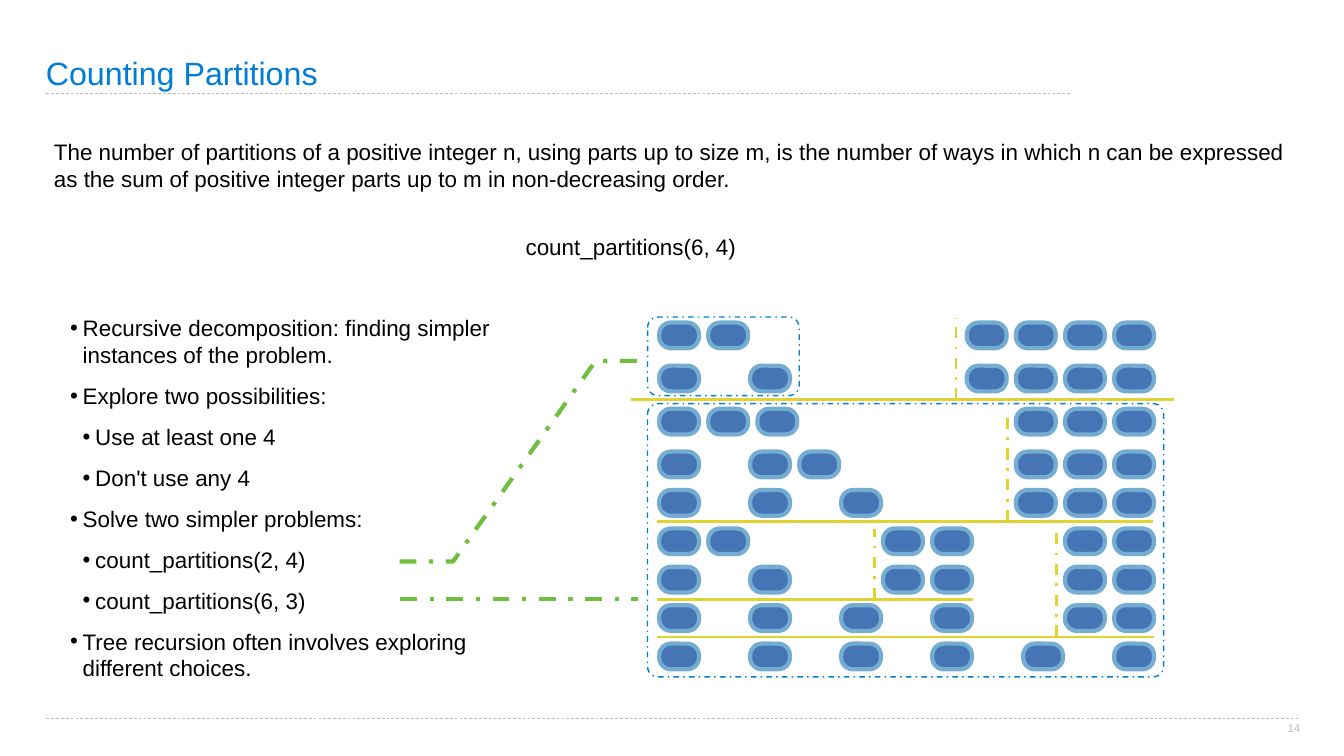
from lxml.etree import SubElement
from pptx import Presentation
from pptx.dml.color import RGBColor
from pptx.enum.dml import MSO_LINE
from pptx.enum.shapes import MSO_CONNECTOR, MSO_SHAPE
from pptx.enum.text import MSO_ANCHOR, PP_ALIGN
from pptx.oxml.ns import qn
from pptx.util import Inches, Pt

COLORS = {
    "title": "007DD6",
    "text": "000000",
    "muted": "B8B8B8",
    "pill": "4575B4",
    "pill_edge": "74ADD1",
    "divider": "E1D331",
    "frame": "007ECF",
    "link": "6FBE40",
}

FIRST_X, LAST_X, PILL_STEP = 13.08, 22.11, 0.975
UNITS = 6
COLUMN = (LAST_X - FIRST_X) / (UNITS - 1)
PILL_W, PILL_H = 0.79, 0.51
ROW_TOPS = [6.4 + 0.855 * i for i in range(3)] + [8.96 + 0.762 * i for i in range(6)]

# Each row: parts packed from the left, then parts aligned to their right end.
PARTITIONS = [
    ([2], [4]),
    ([1, 1], [4]),
    ([3], [3]),
    ([1, 2], [3]),
    ([1, 1, 1], [3]),
    ([2], [2, 2]),
    ([1, 1], [2, 2]),
    ([1, 1, 1, 1], [2]),
    ([1] * UNITS, []),
]

BULLETS = [
    (0, "Recursive decomposition: finding simpler instances of the problem."),
    (0, "Explore two possibilities:"),
    (1, "Use at least one 4"),
    (1, "Don't use any 4"),
    (0, "Solve two simpler problems:"),
    (1, "count_partitions(2, 4)"),
    (1, "count_partitions(6, 3)"),
    (0, "Tree recursion often involves exploring different choices."),
]

DIVIDERS = [
    (12.52, 7.93, 23.3, 7.93),
    (13.03, 10.35, 22.89, 10.35),
    (13.04, 12.64, 22.9, 12.64),
    (13.04, 11.89, 19.3, 11.89),
]
SEPARATORS = [
    (18.97, 7.93, 18.97, 6.31),
    (20, 10.34, 20, 8.16),
    (20.97, 12.63, 20.97, 10.46),
    (17.36, 11.88, 17.36, 10.49),
]
FRAMES = [(12.85, 6.29, 3.01, 1.56, 0.134), (12.85, 8.01, 10.24, 5.42, 0.038)]


def rgb(name):
    return RGBColor.from_string(COLORS[name])


def style_line(s, color, width, dash=None):
    s.line.color.rgb = rgb(color)
    s.line.width = Pt(width)
    if dash is not None:
        s.line.dash_style = dash


def add_line(slide, ends, color, width, dash=None):
    s = slide.shapes.add_connector(MSO_CONNECTOR.STRAIGHT, *map(Inches, ends))
    style_line(s, color, width, dash)
    SubElement(s.element.spPr, qn("a:effectLst"))


def add_frame(slide, box, radius):
    s = slide.shapes.add_shape(MSO_SHAPE.ROUNDED_RECTANGLE, *map(Inches, box))
    s.adjustments[0] = radius
    s.shadow.inherit = False
    return s


def add_text_frame(slide, box, inset=0.06, anchor=MSO_ANCHOR.TOP):
    tf = slide.shapes.add_textbox(*map(Inches, box)).text_frame
    tf.word_wrap = True
    tf.vertical_anchor = anchor
    tf.margin_left = tf.margin_right = Inches(inset)
    tf.margin_top = tf.margin_bottom = Inches(inset)
    return tf


def add_run(p, text, size=32, color="text"):
    r = p.add_run()
    r.text = text
    r.font.name = "Arial"
    r.font.size = Pt(size)
    r.font.color.rgb = rgb(color)


def indent(p, left, first=0):
    pPr = p._p.get_or_add_pPr()
    pPr.set("marL", str(Inches(left)))
    pPr.set("indent", str(Inches(first)))
    return pPr


def add_paragraph_box(slide, box, text, anchor=MSO_ANCHOR.TOP):
    p = add_text_frame(slide, box, anchor=anchor).paragraphs[0]
    indent(p, 0.09)
    add_run(p, text)


def add_title(slide, text):
    tf = add_text_frame(slide, (0.91, 0, 20.31, 1.83), 0, MSO_ANCHOR.BOTTOM)
    p = tf.paragraphs[0]
    p.line_spacing = 0.9
    add_run(p, text, 46, "title")


def add_slide_number(slide, text):
    tf = add_text_frame(slide, (25.55, 14.32, 0.26, 0.24), 0)
    tf.word_wrap = False
    p = tf.paragraphs[0]
    p.alignment = PP_ALIGN.CENTER
    add_run(p, text, 16, "muted")


def add_bullets(slide):
    tf = add_text_frame(slide, (1.33, 5.75, 9.29, 8.26), anchor=MSO_ANCHOR.MIDDLE)
    for i, (level, text) in enumerate(BULLETS):
        p = tf.add_paragraph() if i else tf.paragraphs[0]
        p.level = level
        if i:
            p.space_before = Pt(20)
        pPr = indent(p, 0.25 * (level + 1), -0.25)
        SubElement(pPr, qn("a:buFont"), typeface="Arial")
        SubElement(pPr, qn("a:buChar"), char="•")
        add_run(p, text)


def add_part(slide, x, y, size):
    for i in range(size):
        s = add_frame(slide, (x + i * PILL_STEP, y, PILL_W, PILL_H), 0.457)
        s.fill.solid()
        s.fill.fore_color.rgb = rgb("pill")
        style_line(s, "pill_edge", 6)


def add_partition(slide, y, left, right):
    column = 0
    for size in left:
        add_part(slide, FIRST_X + column * COLUMN, y, size)
        column += size
    for size in right:
        column += size
        last = FIRST_X + (column - 1) * COLUMN
        add_part(slide, last - (size - 1) * PILL_STEP, y, size)


def add_bent_link(slide, points):
    start, *rest = [(Inches(x), Inches(y)) for x, y in points]
    builder = slide.shapes.build_freeform(*start)
    builder.add_line_segments(rest, close=False)
    s = builder.convert_to_shape()
    s.fill.background()
    s.shadow.inherit = False
    style_line(s, "link", 6, MSO_LINE.DASH_DOT)


def main():
    prs = Presentation()
    prs.slide_width, prs.slide_height = Inches(26.67), Inches(15)
    slide = prs.slides.add_slide(prs.slide_layouts[6])

    for y, right in ((1.86, 21.26), (14.26, 25.78)):
        add_line(slide, (0.92, y, right, y), "muted", 1, MSO_LINE.DASH)
    add_title(slide, "Counting Partitions")
    add_paragraph_box(
        slide, (0.92, 2.68, 24.85, 1.2),
        "The number of partitions of a positive integer n, using parts up to size m, "
        "is the number of ways in which n can be expressed as the sum of positive "
        "integer parts up to m in non-decreasing order.")
    add_slide_number(slide, "14")

    for y, (left, right) in zip(ROW_TOPS, PARTITIONS):
        add_partition(slide, y, left, right)
    add_bullets(slide)
    for ends in DIVIDERS:
        add_line(slide, ends, "divider", 4)
    for ends in SEPARATORS:
        add_line(slide, ends, "divider", 4, MSO_LINE.DASH_DOT)
    add_paragraph_box(slide, (10.28, 4.57, 6.1, 0.64), "count_partitions(6, 4)",
                      MSO_ANCHOR.MIDDLE)

    for *box, radius in FRAMES:
        s = add_frame(slide, box, radius)
        s.fill.background()
        style_line(s, "frame", 2, MSO_LINE.DASH_DOT)
    add_bent_link(slide, [(7.93, 11.14), (8.99, 11.14), (11.82, 7.16), (12.67, 7.16)])
    add_line(slide, (7.94, 11.89, 12.66, 11.89), "link", 6, MSO_LINE.DASH_DOT)
    prs.save("out.pptx")


if __name__ == "__main__":
    main()
